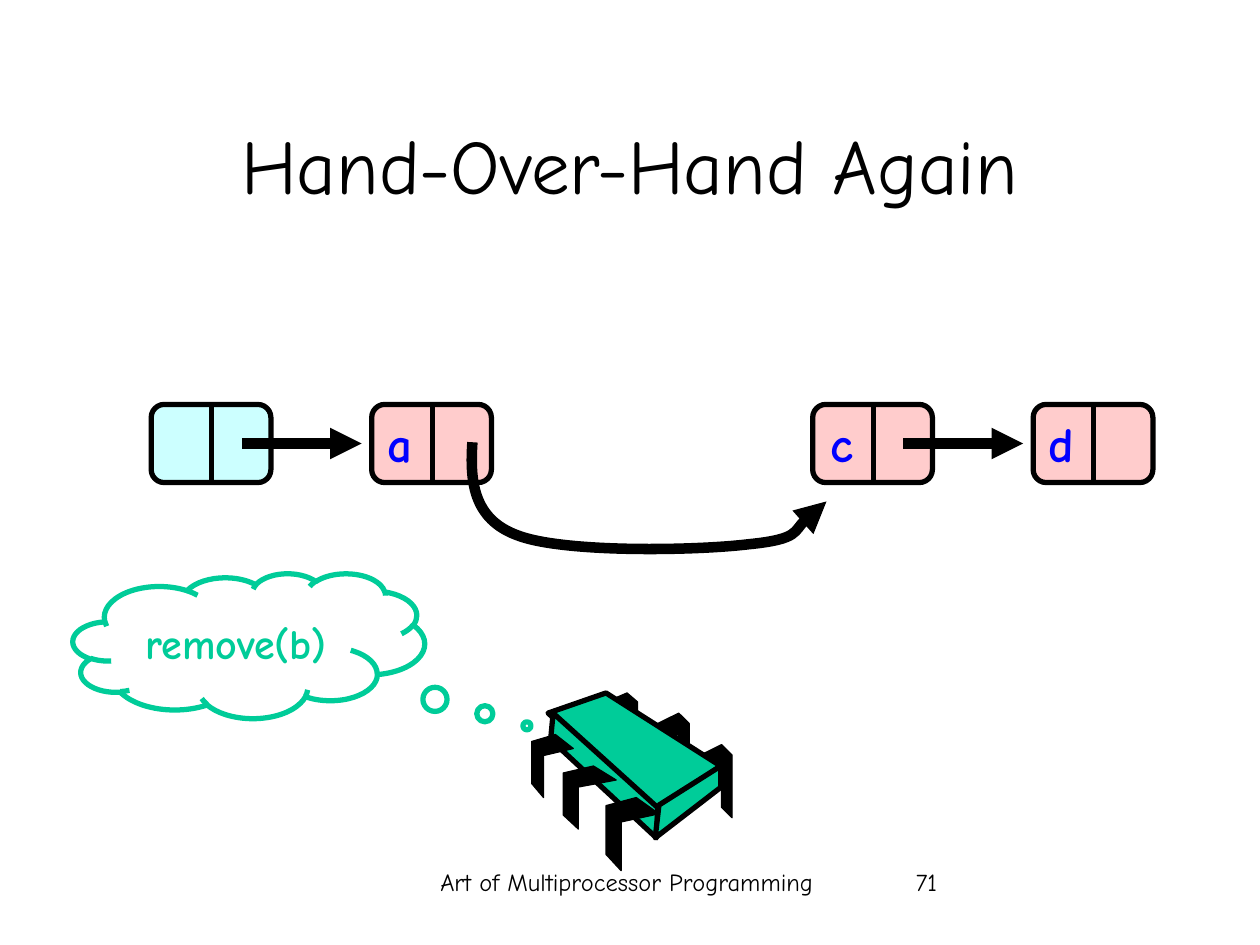
from dataclasses import dataclass

from lxml.etree import SubElement
from pptx import Presentation
from pptx.dml.color import RGBColor
from pptx.enum.shapes import MSO_CONNECTOR, MSO_SHAPE
from pptx.enum.text import MSO_ANCHOR, PP_ALIGN
from pptx.oxml.ns import qn
from pptx.util import Inches, Pt

Point = tuple[float, float]
Box = tuple[float, float, float, float]


@dataclass(frozen=True)
class Theme:
    font: str = "Comic Neue"
    black: str = "000000"
    blue: str = "0000FF"
    green: str = "00CC99"
    pink: str = "FFCCCC"
    cyan: str = "CCFFFF"
    title: float = 44
    label: float = 28
    thought: float = 24
    footer: float = 14
    thin: float = 0.75
    line: float = 3
    arrow: float = 6


@dataclass(frozen=True)
class Node:
    column: int
    fill: str
    label: str = ""
    points_next: bool = False

    @property
    def x(self) -> float:
        return 1.2 + 1.75 * self.column


T = Theme()
NODE_Y, NODE_W, NODE_H = 3.21, 0.95, 0.62
NODES = [
    Node(0, T.cyan, points_next=True),
    Node(1, T.pink, "a"),
    Node(3, T.pink, "c", points_next=True),
    Node(4, T.pink, "d"),
]

# Chip legs: outlines as fractions of each leg's box
BACK_LEG = [(0, 1/7), (2/3, 0), (1, 1/7), (1, 1), (2/3, 6/7), (2/3, 2/7), (0, 3/7)]
FRONT_LEG = [(4/7, 0), (1, 2/9), (2/7, 1/3), (2/7, 1), (0, 7/9), (0, 1/9)]
BACK_BOXES = [(5.56, 5.91, 0.25, 0.58), (5.22, 5.66, 0.25, 0.58), (4.81, 5.5, 0.25, 0.5)]
FRONT_BOXES = [(4.81, 6.33, 0.42, 0.58), (4.47, 6.08, 0.42, 0.5), (4.22, 5.83, 0.33, 0.5)]
CHIP_FACES = [
    [(4.81, 5.5), (5.72, 6.08), (5.21, 6.43), (4.35, 5.66)],
    [(4.39, 5.66), (5.22, 6.41), (5.21, 6.65), (4.37, 5.87)],
    [(5.72, 6.08), (5.72, 6.25), (5.2, 6.65), (5.23, 6.39)],
]
# Start point, then two controls and an end point for each curve
BYPASS = [
    (3.75, 3.51),
    (3.73, 3.81), (3.75, 4.12), (4.11, 4.25),
    (4.48, 4.39), (5.53, 4.37), (5.94, 4.32),
    (6.35, 4.28), (6.43, 4.05), (6.56, 3.98),
]


def inches(values) -> list:
    return [Inches(v) for v in values]


def write(tf, text: str, *, size: float, color: str = T.black, bold: bool = False,
          align=PP_ALIGN.LEFT, anchor=MSO_ANCHOR.TOP, wrap: bool = True) -> None:
    tf.word_wrap = wrap
    tf.vertical_anchor = anchor
    p = tf.paragraphs[0]
    p.alignment = align
    r = p.add_run()
    r.text = text
    r.font.name = T.font
    r.font.size = Pt(size)
    r.font.bold = bold
    r.font.color.rgb = RGBColor.from_string(color)


def add_text(s, box: Box, text: str, **fmt) -> None:
    write(s.shapes.add_textbox(*inches(box)).text_frame, text, **fmt)


def style(sp, fill: str | None, line: str, width: float) -> None:
    sp.shadow.inherit = False
    if fill:
        sp.fill.solid()
        sp.fill.fore_color.rgb = RGBColor.from_string(fill)
    else:
        sp.fill.background()
    sp.line.color.rgb = RGBColor.from_string(line)
    sp.line.width = Pt(width)


def add_arrowhead(sp) -> None:
    SubElement(sp.line._get_or_add_ln(), qn("a:tailEnd"), type="triangle")


def add_line(s, start: Point, end: Point, width: float, arrow: bool = False) -> None:
    cx = s.shapes.add_connector(MSO_CONNECTOR.STRAIGHT, *inches(start + end))
    cx.line.color.rgb = RGBColor.from_string(T.black)
    cx.line.width = Pt(width)
    if arrow:
        add_arrowhead(cx)
    SubElement(cx._element.spPr, qn("a:effectLst"))


def add_outline(s, points: list[Point], fill: str | None, width: float, close: bool = True):
    fb = s.shapes.build_freeform(*inches(points[0]))
    fb.add_line_segments([inches(pt) for pt in points[1:]], close=close)
    sp = fb.convert_to_shape()
    style(sp, fill, T.black, width)
    return sp


def add_curved_arrow(s, points: list[Point]) -> None:
    """Draw an open outline and turn each three line segments into one Bezier."""
    sp = add_outline(s, points, None, T.arrow, close=False)
    segments = list(sp._element.iter(qn("a:lnTo")))
    outline = segments[0].getparent()
    for i in range(0, len(segments), 3):
        curve = SubElement(outline, qn("a:cubicBezTo"))
        for segment in segments[i:i + 3]:
            curve.append(segment[0])
            outline.remove(segment)
    add_arrowhead(sp)


def add_node(s, node: Node) -> None:
    sp = s.shapes.add_shape(MSO_SHAPE.ROUNDED_RECTANGLE,
                            *inches((node.x, NODE_Y, NODE_W, NODE_H)))
    style(sp, node.fill, T.black, T.line)
    middle = node.x + 0.48
    add_line(s, (middle, NODE_Y), (middle, NODE_Y + NODE_H), T.line)
    if node.label:
        add_text(s, (node.x, 3.23, 0.42, 0.57), node.label, size=T.label,
                 color=T.blue, bold=True, align=PP_ALIGN.RIGHT, wrap=False)
    if node.points_next:
        start = node.x + 0.72
        add_line(s, (start, 3.52), (start + 0.95, 3.52), T.arrow, arrow=True)


def add_legs(s, boxes: list[Box], outline: list[Point]) -> None:
    for x, y, w, h in boxes:
        add_outline(s, [(x + fx * w, y + fy * h) for fx, fy in outline], T.black, T.thin)


def add_chip(s) -> None:
    add_legs(s, BACK_BOXES, BACK_LEG)
    for face in CHIP_FACES:
        add_outline(s, face, T.green, T.line)
    add_legs(s, FRONT_BOXES, FRONT_LEG)


def add_thought(s, text: str) -> None:
    sp = s.shapes.add_shape(MSO_SHAPE.CLOUD_CALLOUT, *inches((0.58, 4.55, 2.79, 1.15)))
    sp.adjustments[0], sp.adjustments[1] = 0.791, 0.553
    style(sp, None, T.green, T.line)
    write(sp.text_frame, text, size=T.thought, color=T.green, bold=True,
          align=PP_ALIGN.CENTER, anchor=MSO_ANCHOR.MIDDLE)


def main() -> None:
    prs = Presentation()
    prs.slide_width, prs.slide_height = Inches(10), Inches(7.5)
    s = prs.slides.add_slide(prs.slide_layouts[6])
    add_text(s, (3.1, 6.83, 3.75, 0.5), "Art of Multiprocessor Programming",
             size=T.footer, align=PP_ALIGN.CENTER)
    add_text(s, (7.17, 6.83, 2.08, 0.5), "71", size=T.footer)
    add_text(s, (0.75, 0.67, 8.5, 1.25), "Hand-Over-Hand Again", size=T.title,
             align=PP_ALIGN.CENTER, anchor=MSO_ANCHOR.MIDDLE)
    for node in NODES:
        add_node(s, node)
    add_chip(s)
    add_curved_arrow(s, BYPASS)
    add_thought(s, "remove(b)")
    prs.save("out.pptx")


if __name__ == "__main__":
    main()
